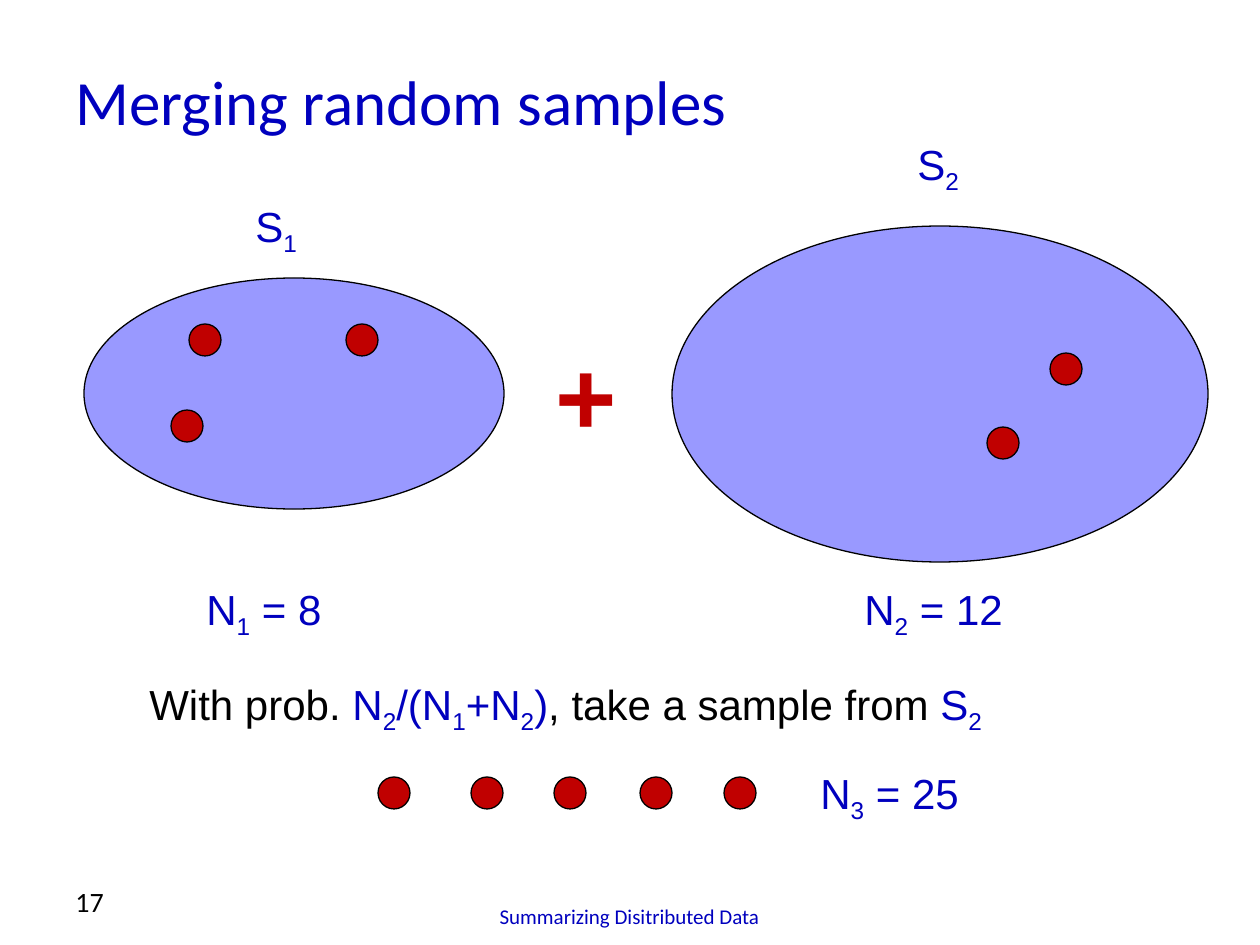
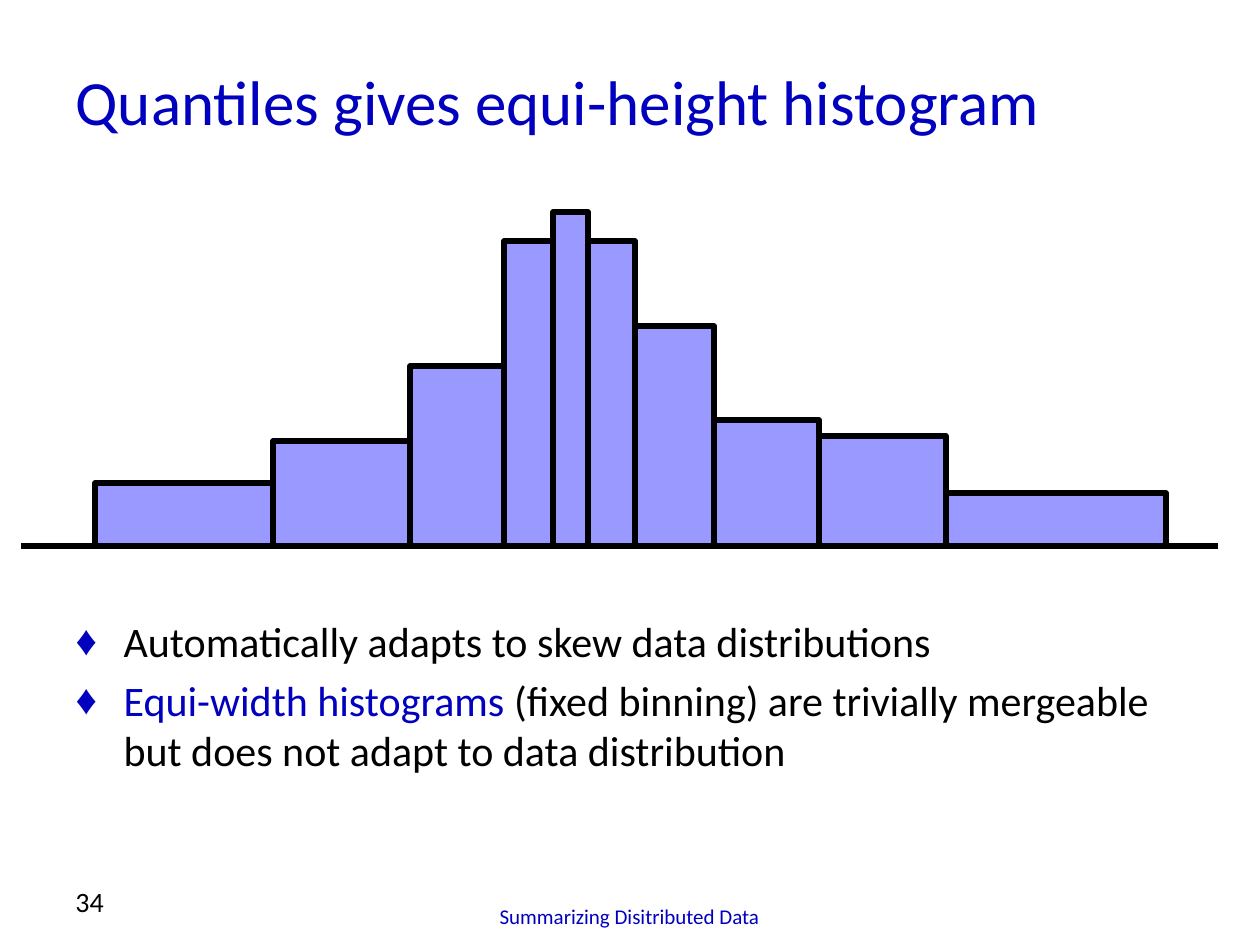
"""Builds two slides on merging random samples and equi-height histograms."""
from dataclasses import dataclass
from itertools import pairwise

from lxml import etree
from pptx import Presentation
from pptx.dml.color import RGBColor
from pptx.enum.shapes import MSO_CONNECTOR, MSO_SHAPE
from pptx.enum.text import MSO_ANCHOR, MSO_AUTO_SIZE, PP_ALIGN
from pptx.oxml.ns import qn
from pptx.util import Emu, Inches, Pt

ELLIPSE, RECTANGLE = MSO_SHAPE.OVAL, MSO_SHAPE.RECTANGLE
STRAIGHT = MSO_CONNECTOR.STRAIGHT
TOP, MIDDLE, BOTTOM = MSO_ANCHOR.TOP, MSO_ANCHOR.MIDDLE, MSO_ANCHOR.BOTTOM
LEFT, CENTER = PP_ALIGN.LEFT, PP_ALIGN.CENTER
NO_FIT = MSO_AUTO_SIZE.NONE


@dataclass(frozen=True)
class Theme:
    blue: str = "0000BE"
    black: str = "000000"
    red: str = "C00000"
    lilac: str = "9999FF"
    text_font: str = "Calibri"
    formula_font: str = "Arial"
    title_size: int = 36
    body_size: int = 24
    plus_size: int = 60
    number_size: int = 16
    footer_size: int = 12
    thin: float = 0.75
    thick: int = 3


THEME = Theme()
BLUE, BLACK = THEME.blue, THEME.black

FOOTER = "Summarizing Disitributed Data"
TITLE_BOX = (63, 42, 1197, 116)
FOOTER_BOX = (325, 872, 609, 63)
NUMBER_BOX = (63, 861, 294, 63)

SAMPLES_TITLE, SAMPLES_NUMBER = "Merging random samples", "17"
POPULATIONS = [(84, 278, 420, 231), (672, 226, 536, 336)]
DOT_SIZE = 32
SAMPLE_DOTS = [(189, 324), (346, 324), (171, 410), (1050, 353), (987, 427)]
MERGED_DOTS = [(left, 777) for left in (378, 471, 554, 640, 724)]
PLUS, PLUS_BOX = "+", (543, 324, 87, 140)
FORMULAS = [
    ((194, 577, 144, 63), [("N_1 = 8", BLUE)]),
    ((852, 577, 168, 63), [("N_2 = 12", BLUE)]),
    ((137, 672, 882, 63), [("With prob. ", BLACK), ("N_2/(N_1+N_2)", BLUE),
                           (", take a sample from ", BLACK), ("S_2", BLUE)]),
    ((243, 194, 69, 63), [("S_1", BLUE)]),
    ((905, 132, 69, 63), [("S_2", BLUE)]),
    ((808, 761, 168, 63), [("N_3 = 25", BLUE)]),
]

HISTOGRAM_TITLE, HISTOGRAM_NUMBER = "Quantiles gives equi-height histogram", "34"
AXIS_LEFT, AXIS_RIGHT, AXIS_Y = 21, 1218, 546
BIN_EDGES = [95, 273, 410, 504, 553, 588, 635, 714, 819, 946, 1166]
BIN_HEIGHTS = [63, 105, 180, 305, 334, 305, 220, 126, 110, 53]
REMARKS_BOX = (63, 609, 1134, 199)
REMARKS = [
    [("Automatically adapts to skew data distributions", BLACK)],
    [("Equi-width histograms ", BLUE),
     ("(fixed binning) are trivially mergeable but does not adapt to data distribution", BLACK)],
]
BULLET, BULLET_INDENT, REMARK_GAP = "♦", 48, 5


def px(length):
    return Emu(round(length * 914400 / 126))


def scaled(box):
    return [px(length) for length in box]


def rgb(colour):
    return RGBColor.from_string(colour)


def style(paragraph, face, size, colour=None, bold=False, align=LEFT):
    paragraph.alignment = align
    font = paragraph.font
    font.name, font.size, font.bold = face, Pt(size), bold
    if colour:
        font.color.rgb = rgb(colour)


def write_segments(paragraph, segments):
    for text, colour in segments:
        plain, *subscripted = text.split("_")
        pieces = [(plain, False)]
        for part in subscripted:
            pieces += [(part[0], True), (part[1:], False)]
        for piece, lowered in pieces:
            if piece:
                run = paragraph.add_run()
                run.text = piece
                run.font.color.rgb = rgb(colour)
                if lowered:
                    run._r.get_or_add_rPr().set("baseline", "-25000")


def add_label(slide, box, wrap=False, anchor=TOP):
    frame = slide.shapes.add_textbox(*scaled(box)).text_frame
    frame.word_wrap, frame.vertical_anchor = wrap, anchor
    return frame.paragraphs[0]


def add_outlined(slide, preset, box, fill, width):
    shape = slide.shapes.add_shape(preset, *scaled(box))
    shape.shadow.inherit = False
    shape.fill.solid()
    shape.fill.fore_color.rgb = rgb(fill)
    shape.line.color.rgb = rgb(BLACK)
    shape.line.width = Pt(width)


def place(holder, box, anchor):
    holder.left, holder.top, holder.width, holder.height = scaled(box)
    frame = holder.text_frame
    frame.word_wrap, frame.auto_size, frame.vertical_anchor = True, NO_FIT, anchor
    return frame


def start_slide(deck, layout, heading, number):
    slide = deck.slides.add_slide(deck.slide_layouts[layout])
    title = place(slide.shapes.title, TITLE_BOX, MIDDLE)
    title.text = heading
    style(title.paragraphs[0], THEME.text_font, THEME.title_size, BLUE)
    for text, box, size, colour, align in [
        (FOOTER, FOOTER_BOX, THEME.footer_size, BLUE, CENTER),
        (number, NUMBER_BOX, THEME.number_size, BLACK, LEFT),
    ]:
        paragraph = add_label(slide, box, True, BOTTOM)
        paragraph.text = text
        style(paragraph, THEME.text_font, size, colour, align=align)
    return slide


def add_bullet(paragraph):
    properties = paragraph._p.get_or_add_pPr()
    properties.set("marL", str(px(BULLET_INDENT)))
    properties.set("indent", str(-px(BULLET_INDENT)))
    tint = etree.SubElement(properties, qn("a:buClr"))
    etree.SubElement(tint, qn("a:srgbClr"), val=BLUE)
    etree.SubElement(properties, qn("a:buChar"), char=BULLET)


def build_samples(deck):
    slide = start_slide(deck, 5, SAMPLES_TITLE, SAMPLES_NUMBER)
    for box in POPULATIONS:
        add_outlined(slide, ELLIPSE, box, THEME.lilac, THEME.thin)
    plus = add_label(slide, PLUS_BOX)
    plus.text = PLUS
    style(plus, THEME.formula_font, THEME.plus_size, THEME.red, bold=True)
    for left, top in SAMPLE_DOTS + MERGED_DOTS:
        add_outlined(slide, ELLIPSE, (left, top, DOT_SIZE, DOT_SIZE), THEME.red, THEME.thin)
    for box, segments in FORMULAS:
        formula = add_label(slide, box)
        write_segments(formula, segments)
        style(formula, THEME.formula_font, THEME.body_size)


def build_histogram(deck):
    slide = start_slide(deck, 1, HISTOGRAM_TITLE, HISTOGRAM_NUMBER)
    remarks = place(slide.placeholders[1], REMARKS_BOX, TOP)
    for index, segments in enumerate(REMARKS):
        remark = remarks.add_paragraph() if index else remarks.paragraphs[0]
        add_bullet(remark)
        remark.space_before = Pt(REMARK_GAP if index else 0)
        write_segments(remark, segments)
        style(remark, THEME.text_font, THEME.body_size)
    axis = slide.shapes.add_connector(
        STRAIGHT, *scaled((AXIS_LEFT, AXIS_Y, AXIS_RIGHT, AXIS_Y)))
    axis.line.color.rgb = rgb(BLACK)
    axis.line.width = Pt(THEME.thick)
    etree.SubElement(axis._element.spPr, qn("a:effectLst"))
    for (left, right), height in zip(pairwise(BIN_EDGES), BIN_HEIGHTS):
        bin_box = (left, AXIS_Y - height, right - left, height)
        add_outlined(slide, RECTANGLE, bin_box, THEME.lilac, THEME.thick)


def main():
    deck = Presentation()
    deck.slide_width, deck.slide_height = Inches(10), Inches(7.5)
    build_samples(deck)
    build_histogram(deck)
    deck.save("out.pptx")


if __name__ == "__main__":
    main()
